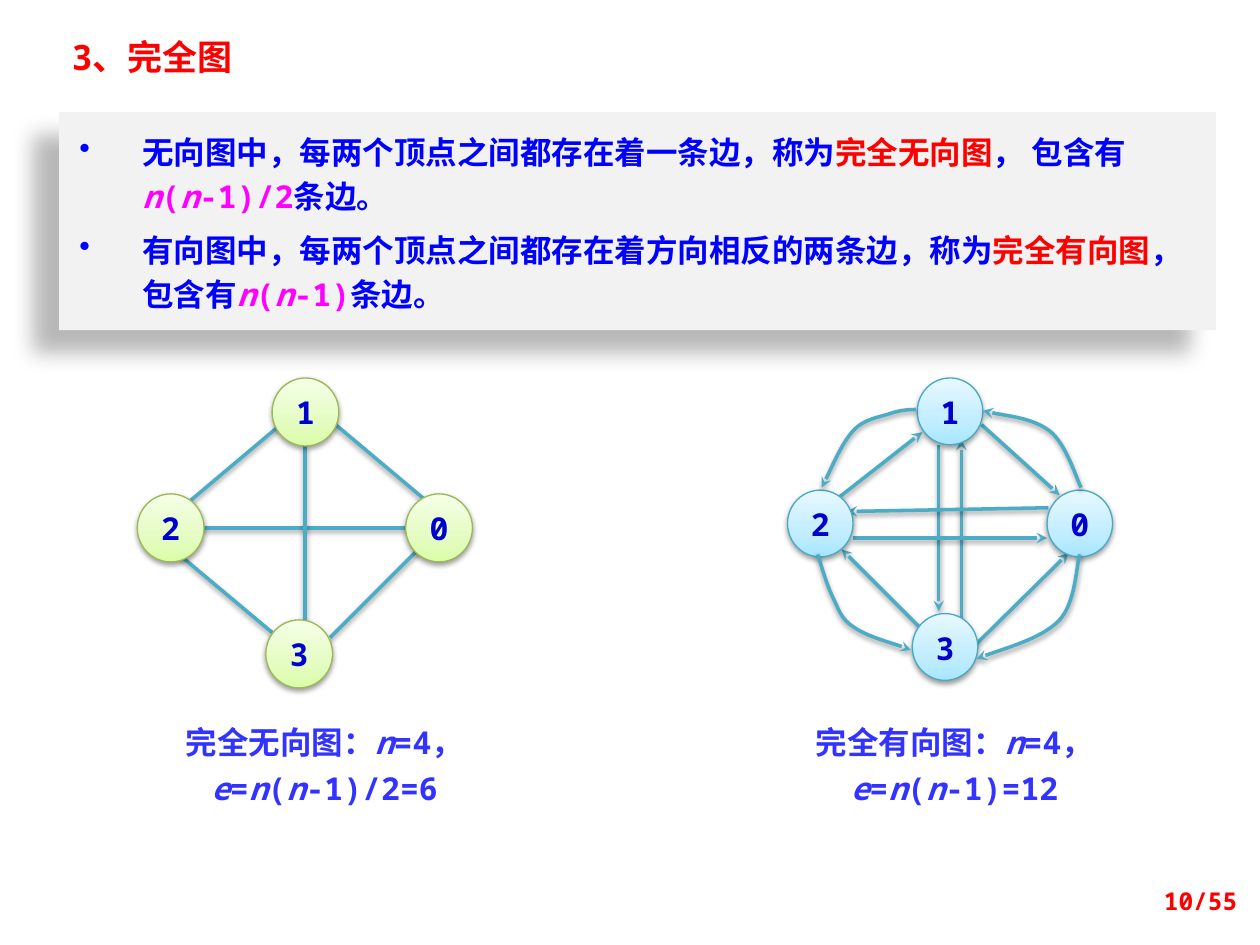
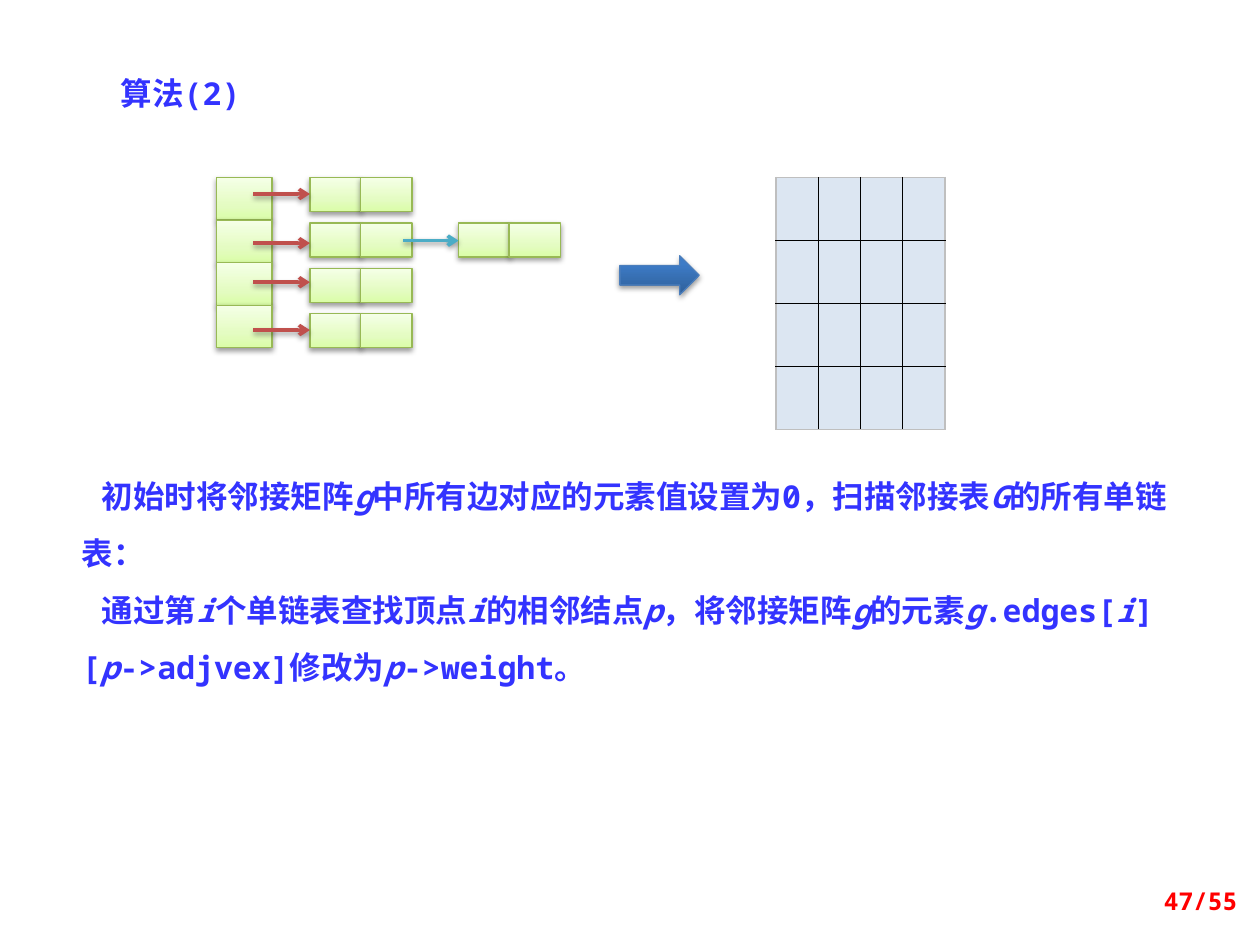
"""Build two slides on complete graphs and adjacency lists."""
from dataclasses import dataclass

from pptx import Presentation
from pptx.dml.color import RGBColor as Rgb
from pptx.enum.shapes import MSO_CONNECTOR as Link, MSO_SHAPE as Kind
from pptx.enum.text import MSO_ANCHOR as Anchor, PP_ALIGN as Align
from pptx.oxml import parse_xml
from pptx.oxml.ns import nsdecls, qn
from pptx.util import Inches, Pt


@dataclass(frozen=True)
class Theme:
    """Hold colours, fonts and sizes."""
    font: str = "Noto Sans Mono"
    asian: str = "Noto Sans CJK JP"
    title: int = 20
    body: int = 18
    foot: int = 14
    edge: int = 2
    rim: float = 0.75
    red: str = "FF0000"
    blue: str = "0000FF"
    pink: str = "FF00FF"
    violet: str = "3333FF"
    navy: str = "0000CC"
    teal: str = "4BACC6"
    brick: str = "C0504D"
    panel: str = "F2F2F2"
    cell: str = "DCE6F2"
    grid: str = "000000"
    frame: str = "BFBFBF"
    green: tuple = ("98B955", ((0, "DAFDA7"), (35, "E4FCC2"), (100, "F5FFE7")))
    sky: tuple = ("46AAC5", ((0, "A7E6FF"), (35, "C1EDFF"), (100, "E7F8FF")))
    steel: tuple = ("4B7EBC", ((0, "2F5F99"), (80, "3D7CC7"), (100, "3A7CCB")))
    soft: tuple = (38, 3.1, 1.6, 90)
    deep: tuple = (28, 11.8, 19.7, 141)


T = Theme()

RULES = [
    [("无向图中，每两个顶点之间都存在着一条边，称为", T.blue), ("完全无向图", T.red),
     ("， 包含有", T.blue), ("*n*(*n*-1)/2", T.pink), ("条边。", T.blue)],
    [("有向图中，每两个顶点之间都存在着方向相反的两条边，称为", T.blue), ("完全有向图", T.red),
     ("，包含有", T.blue), ("*n*(*n*-1)", T.pink), ("条边。", T.blue)],
]
STEPS = [
    "初始时将邻接矩阵*g*中所有边对应的元素值设置为0，扫描邻接表*G*的所有单链表：",
    "通过第*i*个单链表查找顶点*i*的相邻结点*p*，将邻接矩阵*g*的元素"
    "*g*.edges[*i*][*p*->adjvex]修改为*p*->weight。",
]
PLAIN = {
    "look": T.green, "size": (0.53, 0.54), "tip": None, "left": 1.09,
    "nodes": {"1": (2.16, 3), "0": (3.22, 3.92), "2": (1.09, 3.92), "3": (2.11, 4.92)},
    "edges": [(2.24, 3.36, 1.42, 4.05), (1.36, 4.35, 2.16, 5.02),
              (2.62, 5.06, 3.34, 4.34), (2.58, 3.3, 3.39, 3.98),
              (1.36, 4.19, 3.48, 4.19), (2.42, 3.54, 2.42, 5.16)],
    "bends": [],
    "label": ["完全无向图：*n*=4，", "*e*=*n*(*n*-1)/2=6"],
}
ARROWED = {
    "look": T.sky, "size": (0.52, 0.53), "tip": "stealth", "left": 6.09,
    "nodes": {"1": (7.28, 3), "0": (8.31, 3.89), "2": (6.25, 3.89), "3": (7.24, 4.87)},
    "edges": [(7.45, 3.53, 7.45, 4.85), (7.63, 5.07, 7.63, 3.49),
              (8.32, 4.03, 6.72, 4.06), (6.77, 4.27, 8.31, 4.27),
              (7.43, 5.11, 6.68, 4.36), (7.75, 5.11, 8.48, 4.39),
              (7.79, 3.37, 8.41, 3.93), (6.63, 3.97, 7.32, 3.43)],
    "bends": [
        [(8.57, 4.4), (8.54, 4.49), (8.54, 4.79), (8.4, 4.93),
         (8.26, 5.07), (7.89, 5.17), (7.75, 5.23)],
        [(7.27, 3.25), (7.24, 3.25), (7.16, 3.25), (7.07, 3.28), (6.99, 3.31),
         (6.86, 3.32), (6.77, 3.42), (6.68, 3.52), (6.57, 3.78), (6.52, 3.87)],
        [(6.49, 4.4), (6.51, 4.46), (6.56, 4.64), (6.61, 4.74), (6.66, 4.84),
         (6.67, 4.91), (6.78, 4.98), (6.88, 5.05), (7.14, 5.12), (7.23, 5.16)],
        [(8.58, 3.87), (8.54, 3.79), (8.46, 3.52), (8.33, 3.42),
         (8.2, 3.32), (7.91, 3.29), (7.8, 3.26)],
    ],
    "label": ["完全有向图：*n*=4，", "*e*=*n*(*n*-1)=12"],
}
CHAINS = [(1.54, 1), (1.93, 2), (2.24, 1), (2.62, 1)]


def inch(*sizes):
    return [Inches(size) for size in sizes]


def node(tag, attrs="", inner=""):
    return parse_xml(f"<a:{tag} {nsdecls('a')} {attrs}>{inner}</a:{tag}>")


def tint(color, inner=""):
    return f'<a:srgbClr val="{color}">{inner}</a:srgbClr>'


def shade(shape, look):
    alpha, blur, dist, angle = look
    props = shape._element.spPr
    for old in props.findall(qn("a:effectLst")):
        props.remove(old)
    color = tint("000000", f'<a:alpha val="{alpha * 1000}"/>')
    props.append(node("effectLst", inner=(
        f'<a:outerShdw blurRad="{Pt(blur)}" dist="{Pt(dist)}" dir="{angle * 60000}" '
        f'algn="ctr" rotWithShape="0">{color}</a:outerShdw>')))


def blend(shape, stops):
    shape.fill.solid()
    props = shape._element.spPr
    marks = "".join(f'<a:gs pos="{pos * 1000}">{tint(color)}</a:gs>' for pos, color in stops)
    props.replace(props.find(qn("a:solidFill")), node(
        "gradFill", 'rotWithShape="1"',
        f'<a:gsLst>{marks}</a:gsLst><a:lin ang="16200000" scaled="0"/>'))


def stroke(shape, color, tip):
    shape.line.color.rgb = Rgb.from_string(color)
    shape.line.width = Pt(T.edge)
    if tip:
        shape._element.spPr.find(qn("a:ln")).append(node("tailEnd", f'type="{tip}"'))
    shade(shape, T.soft)


def draw(slide, kind, box, look):
    rim, stops = look
    shape = slide.shapes.add_shape(kind, *inch(*box))
    blend(shape, stops)
    shape.line.color.rgb = Rgb.from_string(rim)
    shape.line.width = Pt(T.rim)
    shade(shape, T.soft)
    return shape


def join(slide, ends, color, tip):
    stroke(slide.shapes.add_connector(Link.STRAIGHT, *inch(*ends)), color, tip)


def bend(slide, points, tip):
    first, *rest = [inch(*point) for point in points]
    pen = slide.shapes.build_freeform(*first)
    pen.add_line_segments(rest, close=False)
    shape = pen.convert_to_shape()
    shape.fill.background()
    route = next(shape._element.iter(qn("a:path")))
    legs = route.findall(qn("a:lnTo"))
    for start in range(0, len(legs), 3):
        curve = node("cubicBezTo")
        for leg in legs[start:start + 3]:
            curve.append(leg[0])
            route.remove(leg)
        route.append(curve)
    stroke(shape, T.teal, tip)


def write(frame, lines, color=T.violet, size=T.body, align=Align.LEFT, gap=None):
    frame.word_wrap = True
    for index, line in enumerate(lines):
        para = frame.paragraphs[0] if index == 0 else frame.add_paragraph()
        para.alignment = align
        para.line_spacing = gap
        parts = [(line, color)] if isinstance(line, str) else line
        for text, hue in parts:
            for turn, piece in enumerate(text.split("*")):
                if piece:
                    run = para.add_run()
                    run.text = piece
                    font = run.font
                    font.name, font.size = T.font, Pt(size)
                    font.bold, font.italic = True, turn % 2 == 1
                    font.color.rgb = Rgb.from_string(hue)
                    font._element.append(node("ea", f'typeface="{T.asian}"'))


def label(slide, box, lines, **style):
    frame = slide.shapes.add_textbox(*inch(*box)).text_frame
    write(frame, lines, **style)
    return frame


def inset(frame, *sides):
    (frame.margin_left, frame.margin_top,
     frame.margin_right, frame.margin_bottom) = inch(*sides)
    frame.vertical_anchor = Anchor.TOP


def hang(frame, left, first, mark=None):
    for para in frame.paragraphs:
        props = para._p.get_or_add_pPr()
        props.set("marL", str(Inches(left)))
        props.set("indent", str(Inches(first)))
        if mark:
            para.space_before = Pt(6)
            props.append(node("buChar", f'char="{mark}"'))


def footer(slide, page):
    frame = label(slide, (7.59, 6.95, 2.33, 0.4), [f"{page}/55"],
                  color=T.red, size=T.foot, align=Align.RIGHT)
    frame.vertical_anchor = Anchor.MIDDLE


def graph(slide, data):
    for ends in data["edges"]:
        join(slide, ends, T.teal, data["tip"])
    for name, spot in data["nodes"].items():
        frame = draw(slide, Kind.OVAL, spot + data["size"], data["look"]).text_frame
        inset(frame, 0, 0.12, 0, 0)
        write(frame, [name], color=T.navy, align=Align.CENTER, gap=0.72)
    for points in data["bends"]:
        bend(slide, points, data["tip"])
    label(slide, (data["left"], 5.63, 2.97, 0.8), data["label"],
          align=Align.CENTER, gap=Pt(26))


def lists(slide):
    top, high, step = 1.41, 1.35 / 4, 0.36
    for row, (level, count) in enumerate(CHAINS):
        draw(slide, Kind.RECTANGLE, (1.72, top + row * high, 0.44, high), T.green)
        for link in range(count):
            for half in range(2):
                left = 2.46 + link * 1.18 + half * 0.4
                draw(slide, Kind.RECTANGLE, (left, top + row * step, 0.41, 0.27), T.green)
    for level, count in CHAINS:
        join(slide, (2.01, level, 2.46, level), T.brick, "arrow")
        if count > 1:
            join(slide, (3.2, 1.91, 3.64, 1.91), T.teal, "arrow")


def matrix(slide, count=4):
    table = slide.shapes.add_table(count, count, *inch(6.16, 1.41, 1.34, 2)).table
    table.first_row = table.horz_banding = False
    for row in range(count):
        table.rows[row].height = Inches(0.5)
        for col in range(count):
            cell = table.cell(row, col)
            cell.fill.solid()
            cell.fill.fore_color.rgb = Rgb.from_string(T.cell)
            outer = {"L": col == 0, "R": col == count - 1,
                     "T": row == 0, "B": row == count - 1}
            for place, (side, rim) in enumerate(outer.items()):
                color = T.frame if rim else T.grid
                cell._tc.get_or_add_tcPr().insert(place, node(
                    f"ln{side}", f'w="{Pt(1)}"', f"<a:solidFill>{tint(color)}</a:solidFill>"))


def first(slide):
    panel = slide.shapes.add_shape(Kind.RECTANGLE, *inch(0.47, 0.89, 9.18, 1.73))
    panel.fill.solid()
    panel.fill.fore_color.rgb = Rgb.from_string(T.panel)
    panel.line.fill.background()
    shade(panel, T.deep)
    inset(panel.text_frame, 0.16, 0.12, 0.1, 0.12)
    write(panel.text_frame, RULES, gap=Pt(25))
    hang(panel.text_frame, 0.5, -0.5, "•")
    graph(slide, PLAIN)
    graph(slide, ARROWED)
    label(slide, (0.47, 0.23, 2.34, 0.44), ["3、完全图"], color=T.red, size=T.title)


def second(slide):
    label(slide, (0.86, 0.39, 1.72, 0.5), ["算法(2)"], gap=1.5)
    matrix(slide)
    draw(slide, Kind.RIGHT_ARROW, (4.92, 2.03, 0.63, 0.31), T.steel)
    lists(slide)
    hang(label(slide, (0.55, 3.59, 8.98, 1.87), STEPS, gap=1.5), 0, 0.16)


def main():
    deck = Presentation()
    deck.slide_width, deck.slide_height = inch(10, 7.5)
    for page, build in ((10, first), (47, second)):
        slide = deck.slides.add_slide(deck.slide_layouts[6])
        build(slide)
        footer(slide, page)
    deck.save("out.pptx")


if __name__ == "__main__":
    main()
